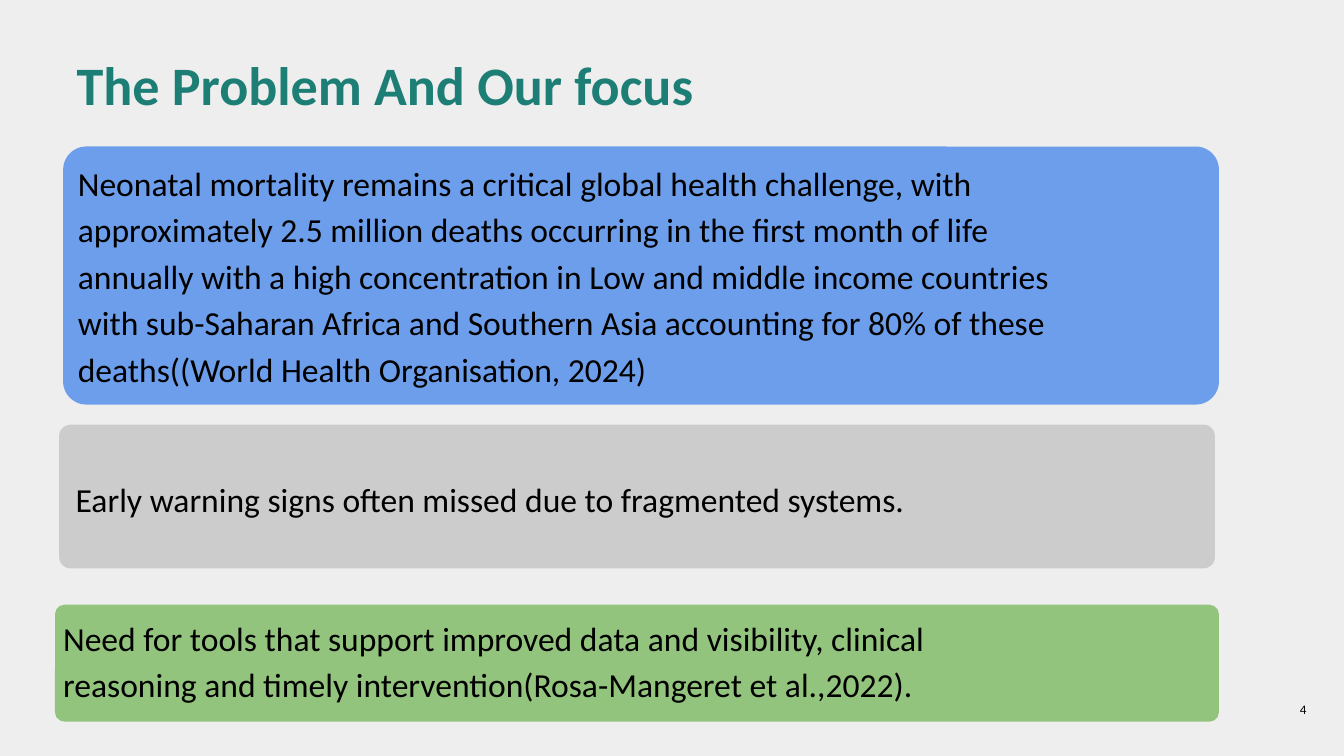
from pptx import Presentation
from pptx.dml.color import RGBColor
from pptx.enum import shapes, text
from pptx.util import Inches, Pt


def color(value):
    return RGBColor.from_string(value)


def inches(values):
    return [Inches(value) for value in values]


def write(shape, wording, size, ink="000000", bold=False,
          align=text.PP_ALIGN.LEFT, anchor=text.MSO_ANCHOR.MIDDLE, inset=0.1):
    """Put one formatted paragraph into a shape and return it."""
    frame = shape.text_frame
    frame.word_wrap = True
    frame.auto_size = text.MSO_AUTO_SIZE.NONE
    frame.vertical_anchor = anchor
    frame.margin_left = frame.margin_right = Inches(inset)
    frame.margin_top = frame.margin_bottom = Inches(inset)
    para = frame.paragraphs[0]
    para.text = wording
    para.alignment = align
    para.font.name = "Calibri"
    para.font.size = Pt(size)
    para.font.bold = bold
    para.font.color.rgb = color(ink)
    return para


def add_title(page, box, wording):
    title = page.shapes.title
    title.left, title.top, title.width, title.height = inches(box)
    write(title, wording, 29, "1D7E75", bold=True, anchor=text.MSO_ANCHOR.TOP)


def add_card(page, box, fill, wording, corner=0.08, text_area=None):
    """Draw a card; text_area is a text box's offset and size within it."""
    card = page.shapes.add_shape(shapes.MSO_SHAPE.ROUNDED_RECTANGLE, *inches(box))
    card.adjustments[0] = corner
    card.shadow.inherit = False
    card.fill.solid()
    card.fill.fore_color.rgb = color(fill)
    card.line.fill.background()
    if text_area:
        left, top, width, height = text_area
        area = (box[0] + left, box[1] + top, width, height)
        para = write(page.shapes.add_textbox(*inches(area)), wording, 18, inset=0)
    else:
        para = write(card, wording, 18)
    para.line_spacing = 1.15


def add_page_number(page, box, number):
    label = page.shapes.add_textbox(*inches(box))
    write(label, number, 7, align=text.PP_ALIGN.RIGHT)


def main():
    deck = Presentation()
    deck.slide_width = Inches(10)
    deck.slide_height = deck.slide_width * 9 // 16
    page = deck.slides.add_slide(deck.slide_layouts.get_by_name("Title Only"))
    page.background.fill.solid()
    page.background.fill.fore_color.rgb = color("EEEEEE")
    add_title(page, (0.47, 0.28, 5.48, 0.69), "The Problem And Our focus")
    add_card(page, (0.47, 1.09, 8.6, 1.92), "6D9EEB",
             "Neonatal mortality remains a critical global health challenge, with "
             "approximately 2.5 million deaths occurring in the first month of life "
             "annually with a high concentration in Low and middle income countries "
             "with sub-Saharan Africa and Southern Asia accounting for 80% of these "
             "deaths((World Health Organisation, 2024)",
             corner=0.09, text_area=(0.11, 0.03, 7.57, 1.82))
    add_card(page, (0.44, 3.16, 8.6, 1.07), "CCCCCC",
             "Early warning signs often missed due to fragmented systems.")
    add_card(page, (0.41, 4.5, 8.66, 0.87), "93C47D",
             "Need for tools that support improved data and visibility, clinical "
             "reasoning and timely intervention(Rosa-Mangeret et al.,2022).",
             text_area=(0.06, -0.01, 7.36, 0.81))
    add_page_number(page, (9.22, 5.06, 0.6, 0.43), "4")
    deck.save("out.pptx")


if __name__ == "__main__":
    main()
